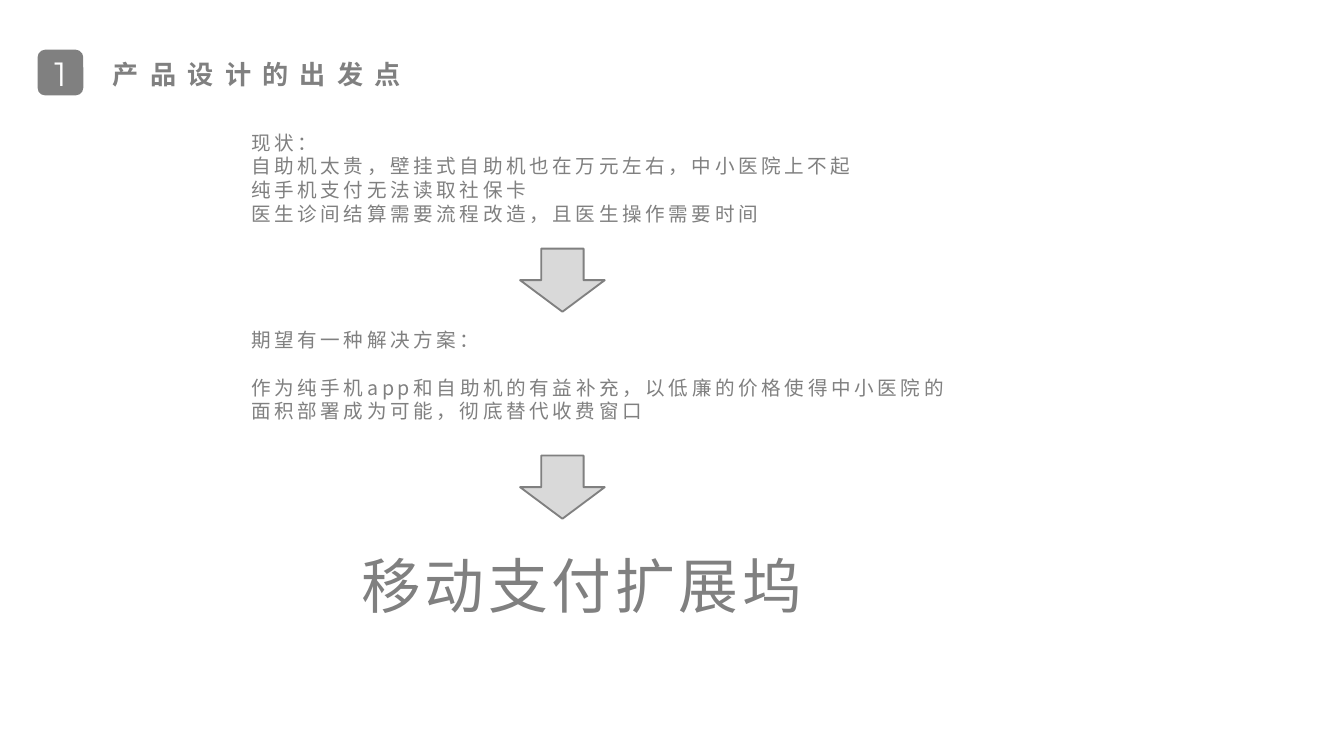
from pptx import Presentation
from pptx.dml.color import RGBColor
from pptx.enum.shapes import MSO_SHAPE as Shape
from pptx.enum.text import MSO_ANCHOR as Anchor, PP_ALIGN as Align
from pptx.oxml.ns import qn
from pptx.util import Inches, Pt
from lxml.etree import SubElement

GREY, PALE, WHITE = "808080", "D9D9D9", "FFFFFF"
SANS, DIGIT = "Noto Sans CJK SC", "Montserrat"
LINE = 1.21  # line height as a multiple of the text size


def color(code):
    return RGBColor.from_string(code)


class Deck:
    def __init__(self, wide):
        """Start a 16:9 deck with one slide."""
        self.prs = Presentation()
        self.prs.slide_width = Inches(wide)
        self.prs.slide_height = Inches(wide * 9 / 16)
        self.slide = self.prs.slides.add_slide(self.prs.slide_layouts[5])

    def style(self, para, size, track=0, font=SANS, tint=GREY, bold=False,
              align=Align.LEFT):
        """Format one paragraph; track is the letter spacing in points."""
        para.alignment = align
        para.line_spacing = Pt(round(size * LINE, 1))
        look = para.font
        look.name, look.size, look.bold = font, Pt(size), bold
        look.color.rgb = color(tint)
        props = para._p.get_or_add_pPr().find(qn("a:defRPr"))
        props.set("spc", str(track * 100))
        SubElement(props, qn("a:ea")).set("typeface", font)

    def title(self, text, *box):
        shape = self.slide.shapes.title
        shape.left, shape.top, shape.width, shape.height = map(Inches, box)
        frame = shape.text_frame
        frame.text = text
        frame.word_wrap, frame.vertical_anchor = False, Anchor.TOP
        self.style(frame.paragraphs[0], 14, track=6, bold=True)

    def text(self, lines, *box, size=10.5, gap=0, align=Align.LEFT):
        """Add a text box; gap is the space before each later paragraph."""
        frame = self.slide.shapes.add_textbox(*map(Inches, box)).text_frame
        frame.word_wrap = True
        frame.text = "\n".join(lines)
        for para in frame.paragraphs:
            self.style(para, size, track=2, align=align)
        for para in frame.paragraphs[1:]:
            para.space_before = Pt(gap)

    def shape(self, kind, fill, *box):
        shape = self.slide.shapes.add_shape(kind, *map(Inches, box))
        shape.shadow.inherit = False
        shape.fill.solid()
        shape.fill.fore_color.rgb = color(fill)
        return shape

    def badge(self, text, *box):
        shape = self.shape(Shape.ROUNDED_RECTANGLE, GREY, *box)
        shape.line.fill.background()
        frame = shape.text_frame
        frame.text = text
        frame.word_wrap, frame.vertical_anchor = False, Anchor.MIDDLE
        self.style(frame.paragraphs[0], 18, font=DIGIT, tint=WHITE,
                   align=Align.CENTER)

    def arrow(self, *box):
        shape = self.shape(Shape.DOWN_ARROW, PALE, *box)
        shape.line.color.rgb = color(GREY)
        shape.line.width = Pt(1)


def main():
    deck = Deck(10)
    deck.badge("1", 0.28, 0.37, 0.34, 0.34)
    deck.title("产品设计的出发点", 0.74, 0.38, 2.45, 0.34)
    deck.text(["现状：",
               "自助机太贵，壁挂式自助机也在万元左右，中小医院上不起",
               "纯手机支付无法读取社保卡",
               "医生诊间结算需要流程改造，且医生操作需要时间"],
              1.77, 0.92, 4.76, 0.81)
    deck.text(["期望有一种解决方案：",
               "作为纯手机app和自助机的有益补充，以低廉的价格使得中小医院的"
               "面积部署成为可能，彻底替代收费窗口"],
              1.77, 2.39, 5.46, 0.81, gap=12.7)
    deck.text(["移动支付扩展坞"], 2.4, 4.03, 3.86, 0.64, size=32,
              align=Align.CENTER)
    for top in (1.85, 3.39):
        deck.arrow(3.87, top, 0.63, 0.47)
    deck.prs.save("out.pptx")


if __name__ == "__main__":
    main()
